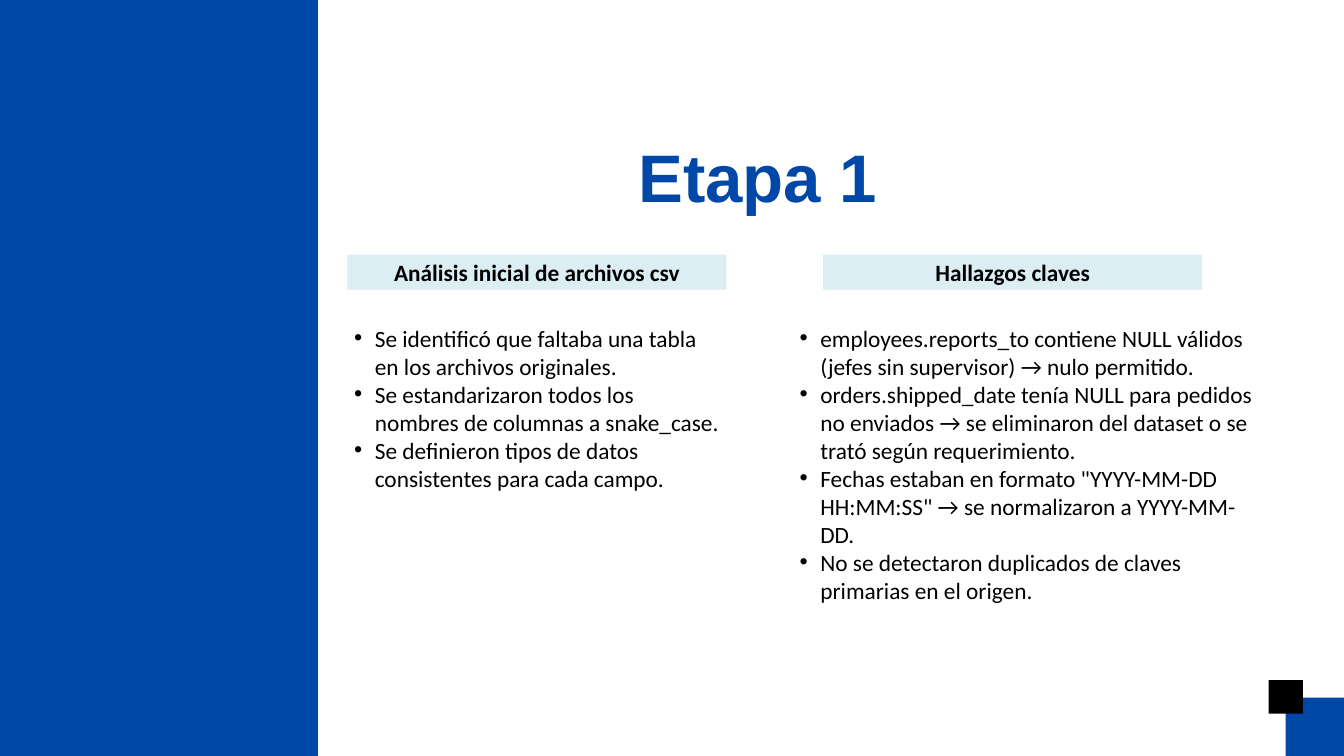
"""Build the "Etapa 1" slide: initial CSV analysis and key findings."""
from lxml import etree
from pptx import Presentation
from pptx import util as u
from pptx.dml.color import RGBColor
from pptx.enum import shapes, text
from pptx.oxml.ns import qn

COLORS = {"blue": "0048A8", "black": "000000", "pale": "DBEEF4"}
TITLE = "Etapa 1"
BLOCKS = [
    ("blue", 0, 0, 4.73, 11.25),
    ("blue", 19.13, 10.38, 0.87, 0.87),
    ("black", 18.88, 10.12, 0.51, 0.5),
]
COLUMNS = [
    {
        "heading": "Análisis inicial de archivos csv",
        "heading_left": 5.17,
        "list_box": (5.17, 4.77, 5.67, 2.63),
        "points": [
            "Se identificó que faltaba una tabla en los archivos originales.",
            "Se estandarizaron todos los nombres de columnas a snake_case.",
            "Se definieron tipos de datos consistentes para cada campo.",
        ],
    },
    {
        "heading": "Hallazgos claves",
        "heading_left": 12.25,
        "list_box": (11.8, 4.77, 7.08, 4.31),
        "points": [
            "employees.reports_to contiene NULL válidos (jefes sin supervisor) → nulo permitido.",
            "orders.shipped_date tenía NULL para pedidos no enviados → se eliminaron del dataset "
            "o se trató según requerimiento.",
            'Fechas estaban en formato "YYYY-MM-DD HH:MM:SS" → se normalizaron a YYYY-MM-DD.',
            "No se detectaron duplicados de claves primarias en el origen.",
        ],
    },
]
HEADING_TOP, HEADING_WIDTH, HEADING_HEIGHT = 3.79, 5.64, 0.52
INDENT = 0.31


def rgb(color):
    return RGBColor.from_string(COLORS[color])


def style(paragraph, size, name, color, bold=False):
    font = paragraph.font
    font.size, font.name, font.bold = u.Pt(size), name, bold
    font.color.rgb = rgb(color)


def add_block(slide, color, *box):
    block = slide.shapes.add_shape(shapes.MSO_SHAPE.RECTANGLE, *map(u.Inches, box))
    block.shadow.inherit = False
    block.fill.solid()
    block.fill.fore_color.rgb = rgb(color)
    block.line.fill.background()
    return block


def add_title(slide):
    title = slide.shapes.title
    title.left, title.top, title.width, title.height = map(u.Inches, (9.5, 2.01, 8.99, 1.21))
    frame = title.text_frame
    frame.text = TITLE
    frame.margin_left = frame.margin_right = frame.margin_top = frame.margin_bottom = 0
    frame.vertical_anchor = text.MSO_ANCHOR.TOP
    frame.auto_size = text.MSO_AUTO_SIZE.NONE
    line = frame.paragraphs[0]
    line.alignment = text.PP_ALIGN.LEFT
    line.line_spacing = u.Pt(86.4)
    style(line, 72, "Arial", "blue", True)


def add_heading(slide, heading, left):
    bar = add_block(slide, "pale", left, HEADING_TOP, HEADING_WIDTH, HEADING_HEIGHT)
    frame = bar.text_frame
    frame.text = heading
    frame.vertical_anchor = text.MSO_ANCHOR.TOP
    frame.paragraphs[0].alignment = text.PP_ALIGN.CENTER
    style(frame.paragraphs[0], 25, "Calibri", "black", True)


def add_points(slide, points, box):
    frame = slide.shapes.add_textbox(*map(u.Inches, box)).text_frame
    frame.word_wrap = True
    frame.text = "\n".join(points)
    for point in frame.paragraphs:
        properties = point._p.get_or_add_pPr()
        properties.set("marL", str(u.Inches(INDENT)))
        properties.set("indent", str(-u.Inches(INDENT)))
        etree.SubElement(properties, qn("a:buFont"), typeface="Arial")
        etree.SubElement(properties, qn("a:buChar"), char="•")
        style(point, 25, "Calibri", "black")


def main():
    deck = Presentation()
    deck.slide_width, deck.slide_height = u.Inches(20), u.Inches(11.25)
    slide = deck.slides.add_slide(deck.slide_layouts[5])
    add_title(slide)
    for block in BLOCKS:
        add_block(slide, *block)
    for column in COLUMNS:
        add_points(slide, column["points"], column["list_box"])
        add_heading(slide, column["heading"], column["heading_left"])
    deck.save("out.pptx")


if __name__ == "__main__":
    main()
